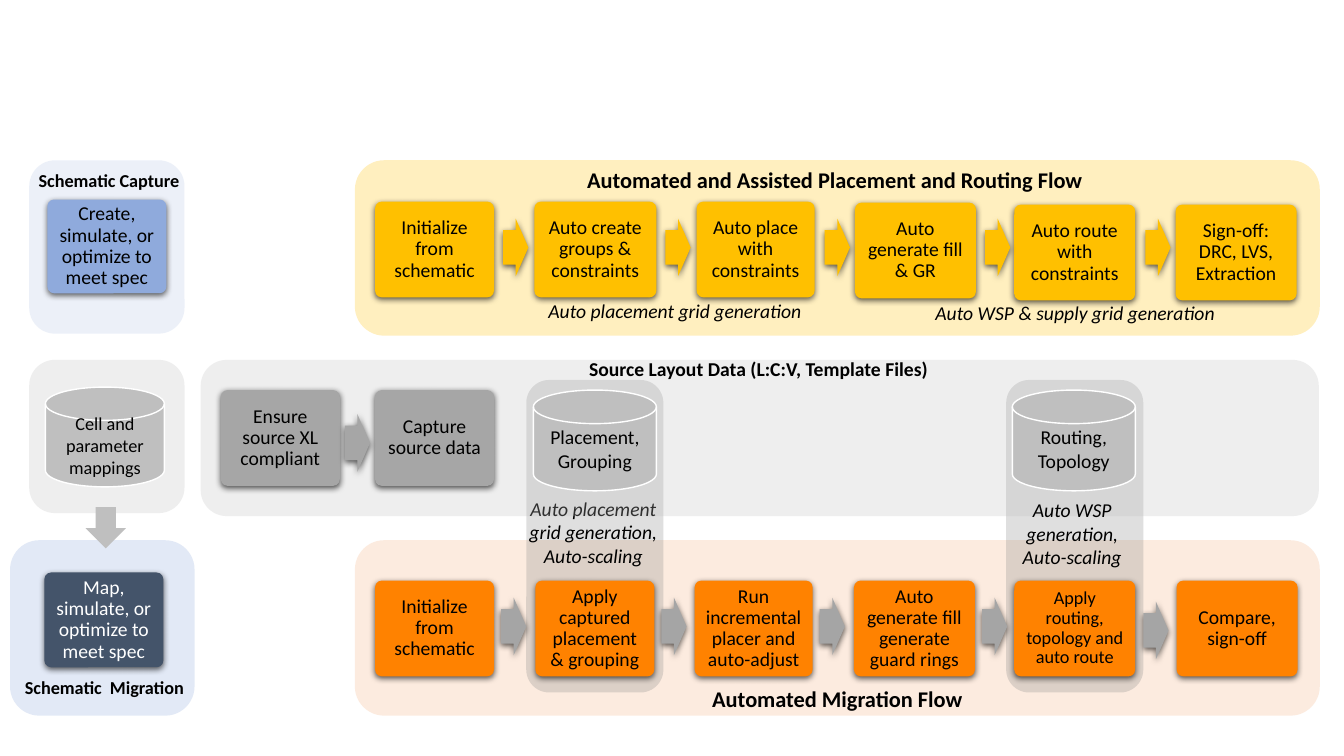
import dataclasses

import lxml.etree
import pptx
import pptx.dml.color
import pptx.enum.shapes
import pptx.enum.text
import pptx.oxml.ns
import pptx.util

PX = 9144  # 100 px to the inch
SHAPE = pptx.enum.shapes.MSO_SHAPE
ANCHOR = pptx.enum.text.MSO_ANCHOR


@dataclasses.dataclass(frozen=True)
class Theme:
    font: str = "Calibri"
    black: str = "000000"
    white: str = "FFFFFF"
    gold: str = "FFC000"
    orange: str = "FF8200"
    peach: str = "F4B183"
    sky: str = "B4C7E7"
    blue: str = "8FAADC"
    navy: str = "44546A"
    silver: str = "BFBFBF"
    steel: str = "A6A6A6"
    arrow_gray: str = "A5A5A5"
    dark_gray: str = "808080"
    heading: int = 16
    body: int = 14
    small: int = 13
    panel_alpha: int = 25
    shadow_alpha: int = 63


class FlowSlide:
    def __init__(self, slide, theme):
        self.slide = slide
        self.theme = theme

    def xml_child(self, parent, tag, **attributes):
        child = lxml.etree.SubElement(parent, pptx.oxml.ns.qn(tag))
        for name, value in attributes.items():
            child.set(name, str(value))
        return child

    def shape(self, kind, box, color, shadow=False):
        item = self.slide.shapes.add_shape(kind, *(n * PX for n in box))
        item.fill.solid()
        item.fill.fore_color.rgb = pptx.dml.color.RGBColor.from_string(color)
        item.line.fill.background()
        item.shadow.inherit = False
        if shadow:
            effects = item._element.spPr.find(pptx.oxml.ns.qn("a:effectLst"))
            outer = self.xml_child(effects, "a:outerShdw", blurRad=57150,
                                   dist=19050, dir=5400000, algn="ctr", rotWithShape=0)
            shade = self.xml_child(outer, "a:srgbClr", val=self.theme.black)
            self.xml_child(shade, "a:alpha", val=self.theme.shadow_alpha * 1000)
        return item

    def caption(self, item, text, size, color=None, bold=False, italic=False, spacing=None):
        frame = item.text_frame
        frame.word_wrap = True
        frame.text = text
        for paragraph in frame.paragraphs:
            paragraph.alignment = pptx.enum.text.PP_ALIGN.CENTER
            if spacing:
                paragraph.line_spacing = spacing
            for run in paragraph.runs:
                run.font.name = self.theme.font
                run.font.size = pptx.util.Pt(size)
                run.font.bold = bold
                run.font.italic = italic
                run.font.color.rgb = pptx.dml.color.RGBColor.from_string(
                    color or self.theme.black)
        return frame

    def panel(self, box, color):
        item = self.shape(SHAPE.ROUNDED_RECTANGLE, box, color)
        tint = item._element.spPr.find(".//" + pptx.oxml.ns.qn("a:srgbClr"))
        self.xml_child(tint, "a:alpha", val=self.theme.panel_alpha * 1000)

    def step(self, box, text, color, size=None, ink=None):
        item = self.shape(SHAPE.ROUNDED_RECTANGLE, box, color, shadow=True)
        item.adjustments[0] = 0.07
        frame = self.caption(item, text, size or self.theme.body, ink, spacing=0.9)
        frame.vertical_anchor = ANCHOR.MIDDLE
        frame.margin_left = frame.margin_right = 8 * PX

    def arrow(self, left, top, color):
        item = self.shape(SHAPE.RIGHT_ARROW, (left, top, 25, 57), color, shadow=True)
        item.adjustments[0] = 0.6
        item.adjustments[1] = 0.5

    def database(self, box, text, size=None):
        item = self.shape(SHAPE.FLOWCHART_MAGNETIC_DISK, box, self.theme.silver)
        item.line.color.rgb = pptx.dml.color.RGBColor.from_string(self.theme.white)
        item.line.width = pptx.util.Pt(1)
        frame = self.caption(item, text, size or self.theme.body)
        frame.vertical_anchor = ANCHOR.MIDDLE

    def label(self, box, text, size=None, bold=False, italic=False):
        item = self.slide.shapes.add_textbox(*(n * PX for n in box))
        self.caption(item, text, size or self.theme.body, bold=bold, italic=italic)

    def flow(self, steps, arrows, color, arrow_color):
        for left, top, width, text, size in steps:
            self.step((left, top, width, 95), text, color, size)
        for left, top in arrows:
            self.arrow(left, top, arrow_color)


def main():
    theme = Theme()
    deck = pptx.Presentation()
    deck.slide_width, deck.slide_height = 1333 * PX, 750 * PX
    page = FlowSlide(deck.slides.add_slide(deck.slide_layouts[6]), theme)

    # Migration panel, and the columns that link it to the source data
    page.panel((352, 536, 957, 174), theme.peach)
    for left in (998, 522):
        page.panel((left, 377, 136, 310), theme.dark_gray)
    page.label((505, 488, 167, 81),
               "Auto placement grid generation, Auto-scaling", italic=True)

    # Automated and assisted flow
    page.panel((352, 159, 957, 174), theme.gold)
    page.flow(
        [(372, 200, 118, "Initialize from schematic", theme.body),
         (530, 200, 121, "Auto create groups & constraints", theme.body),
         (691, 200, 117, "Auto place with constraints", theme.body),
         (848, 201, 120, "Auto generate fill & GR", theme.body),
         (1006, 203, 120, "Auto route with constraints", theme.body),
         (1166, 203, 120, "Sign-off: DRC, LVS, Extraction", theme.body)],
        [(left, 217) for left in (499, 660, 818, 977, 1136)],
        theme.gold, theme.gold)
    page.label((352, 160, 952, 37), "Automated and Assisted Placement and Routing Flow",
               theme.heading, bold=True)
    page.label((525, 292, 289, 34), "Auto placement grid generation", italic=True)
    page.label((900, 294, 333, 34), "Auto WSP & supply grid generation", italic=True)

    # Migration flow
    page.flow(
        [(372, 576, 118, "Initialize from schematic", theme.body),
         (531, 576, 118, "Apply captured placement & grouping", theme.body),
         (689, 576, 117, "Run incremental placer and auto-adjust", theme.body),
         (847, 576, 120, "Auto generate fill generate guard rings", theme.body),
         (1006, 576, 120, "Apply routing, topology and auto route", theme.small),
         (1167, 576, 120, "Compare, sign-off", theme.body)],
        [(497, 593), (656, 593), (813, 593), (974, 593), (1134, 597)],
        theme.orange, theme.arrow_gray)
    page.label((352, 675, 957, 37), "Automated Migration Flow", theme.heading, bold=True)

    # Source layout data
    page.panel((199, 357, 1109, 155), theme.silver)
    page.label((201, 349, 1103, 34), "Source Layout Data (L:C:V, Template Files)", bold=True)
    page.flow([(219, 387, 118, "Ensure source XL compliant", theme.body),
               (372, 387, 118, "Capture source data", theme.body)],
              [(342, 411)], theme.steel, theme.steel)
    page.database((529, 387, 122, 100), "Placement, Grouping")
    page.database((1004, 387, 122, 100), "Routing, Topology")
    page.label((980, 489, 167, 81), "Auto WSP generation,\nAuto-scaling", italic=True)

    # Schematic capture, mappings and schematic migration
    page.panel((29, 159, 154, 172), theme.sky)
    page.step((47, 198, 118, 93), "Create, simulate, or optimize to meet spec", theme.blue)
    page.label((7, 163, 202, 32), "Schematic Capture", theme.small, bold=True)
    page.panel((29, 357, 154, 152), theme.silver)
    page.database((45, 384, 118, 99), "Cell and parameter mappings", theme.small)
    page.panel((10, 536, 183, 174), theme.blue)
    page.step((44, 568, 118, 94), "Map, simulate, or optimize to meet spec",
              theme.navy, ink=theme.white)
    page.label((-5, 666, 217, 32), "Schematic  Migration", theme.small, bold=True)
    page.shape(SHAPE.DOWN_ARROW, (85, 503, 40, 41), theme.silver)

    deck.save("out.pptx")


if __name__ == "__main__":
    main()
